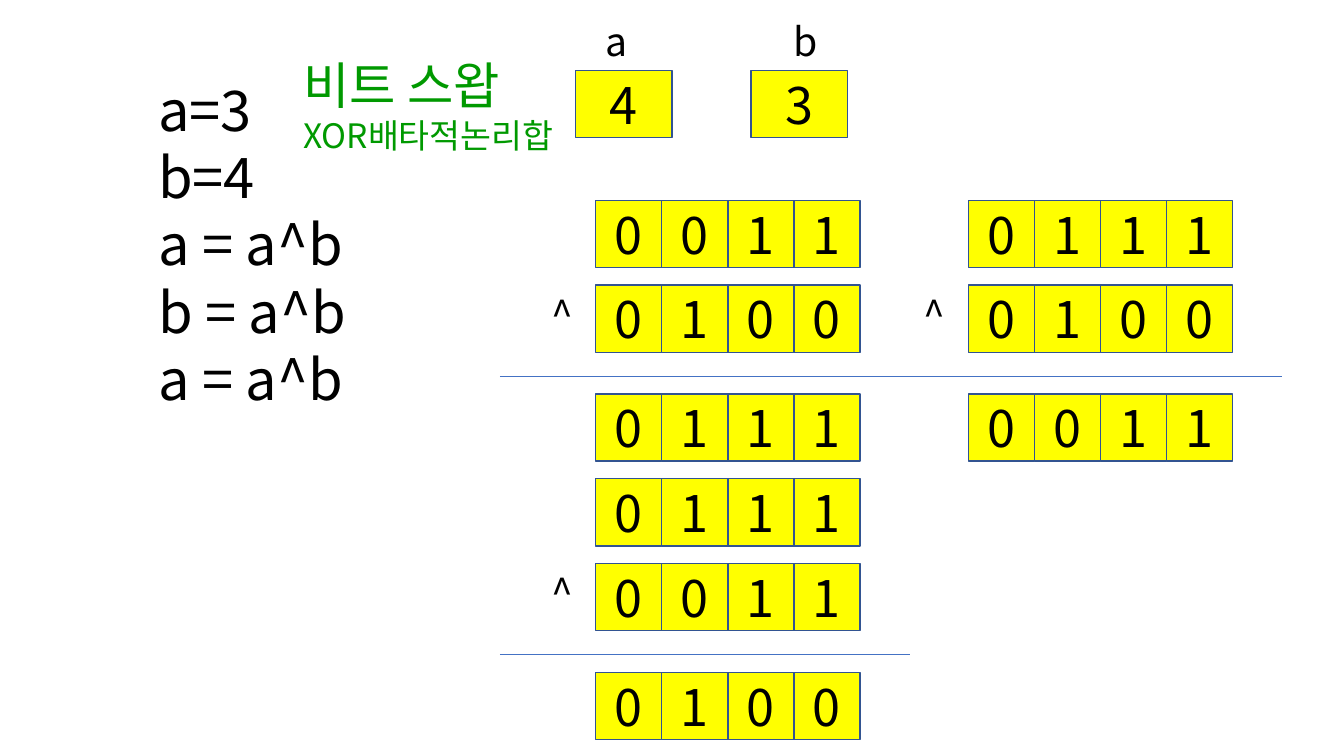
from pptx import Presentation
from pptx.dml.color import RGBColor
from pptx.enum import shapes, text
from pptx.oxml.ns import qn
from pptx.util import Pt
from lxml import etree

FONT = "Noto Sans CJK KR"
COLORS = {"ink": "000000", "title": "009900", "cell": "FFFF00",
          "border": "325491", "rule": "4472C4"}

CODE = ["a=3", "b=4", "a = a^b", "b = a^b", "a = a^b"]
TITLE = [("비트 스왑", 36), ("XOR배타적논리합", 24)]
# name, name left, name width, value, value left
VARIABLES = [("a", 425.5, 29.5, "4", 411), ("b", 559.5, 31.7, "3", 536.4)]
# left, top, (first operand, second operand, result)
XORS = [
    (425.5, 143.2, ("0011", "0100", "0111")),
    (691.6, 143.2, ("0111", "0100", "0011")),
    (425.5, 342, ("0111", "0011", "0100")),
]
BIT_W, CELL_H = 47.2, 48
ROW_OFFSETS = (0, 60.5, 138.2)
RULE_OFFSET, RULE_INDENT, RULE_W = 125.5, 68.5, 293
CARET_INDENT, CARET_W, NAME_H = 39, 34.6, 41.2

prs = Presentation()
prs.slide_width, prs.slide_height = Pt(960), Pt(540)
s = prs.slides.add_slide(prs.slide_layouts[6])


def rgb(name):
    return RGBColor.from_string(COLORS[name])


def write(tf, lines, color="ink", align=None):
    """Fill a text frame with (line, size) pairs."""
    tf.text = "\n".join(line for line, _ in lines)
    for p, (_, size) in zip(tf.paragraphs, lines):
        p.alignment = align
        for r in p.runs:
            r.font.name, r.font.size = FONT, Pt(size)
            r.font.color.rgb = rgb(color)
            ea = etree.SubElement(r.font._element, qn("a:ea"))
            ea.set("typeface", FONT)


def add_text(x, y, w, h, lines, color="ink", wrap=True):
    tf = s.shapes.add_textbox(Pt(x), Pt(y), Pt(w), Pt(h)).text_frame
    write(tf, lines, color)
    tf.word_wrap = wrap
    tf.auto_size = text.MSO_AUTO_SIZE.SHAPE_TO_FIT_TEXT


def add_cell(x, y, w, value):
    sp = s.shapes.add_shape(shapes.MSO_SHAPE.RECTANGLE,
                            Pt(x), Pt(y), Pt(w), Pt(CELL_H))
    sp.shadow.inherit = False
    sp.fill.solid()
    sp.fill.fore_color.rgb = rgb("cell")
    sp.line.color.rgb = rgb("border")
    sp.line.width = Pt(1)
    sp.text_frame.vertical_anchor = text.MSO_ANCHOR.MIDDLE
    write(sp.text_frame, [(value, 36)], align=text.PP_ALIGN.CENTER)


def add_rule(x, y):
    line = s.shapes.add_connector(shapes.MSO_CONNECTOR.STRAIGHT,
                                  Pt(x), Pt(y), Pt(x + RULE_W), Pt(y))
    line.line.color.rgb = rgb("rule")
    line.line.width = Pt(0.5)
    etree.SubElement(line._element.spPr, qn("a:effectLst"))


add_text(105.8, 50.4, 224.6, 249.8, [(line, 40) for line in CODE])

for name, name_x, name_w, value, value_x in VARIABLES:
    add_cell(value_x, 50.4, 69.1, value)
    add_text(name_x, 8.6, name_w, NAME_H, [(name, 28)], wrap=False)

for x, y, numbers in XORS:
    for offset, bits in zip(ROW_OFFSETS, numbers):
        for i, bit in enumerate(bits):
            add_cell(x + i * BIT_W, y + offset, BIT_W, bit)
    add_text(x - CARET_INDENT, y + ROW_OFFSETS[1], CARET_W, NAME_H,
             [("^", 28)], wrap=False)
    add_rule(x - RULE_INDENT, y + RULE_OFFSET)

add_text(209.5, 35.3, 326.9, 79.9, TITLE, color="title")

prs.save("out.pptx")
